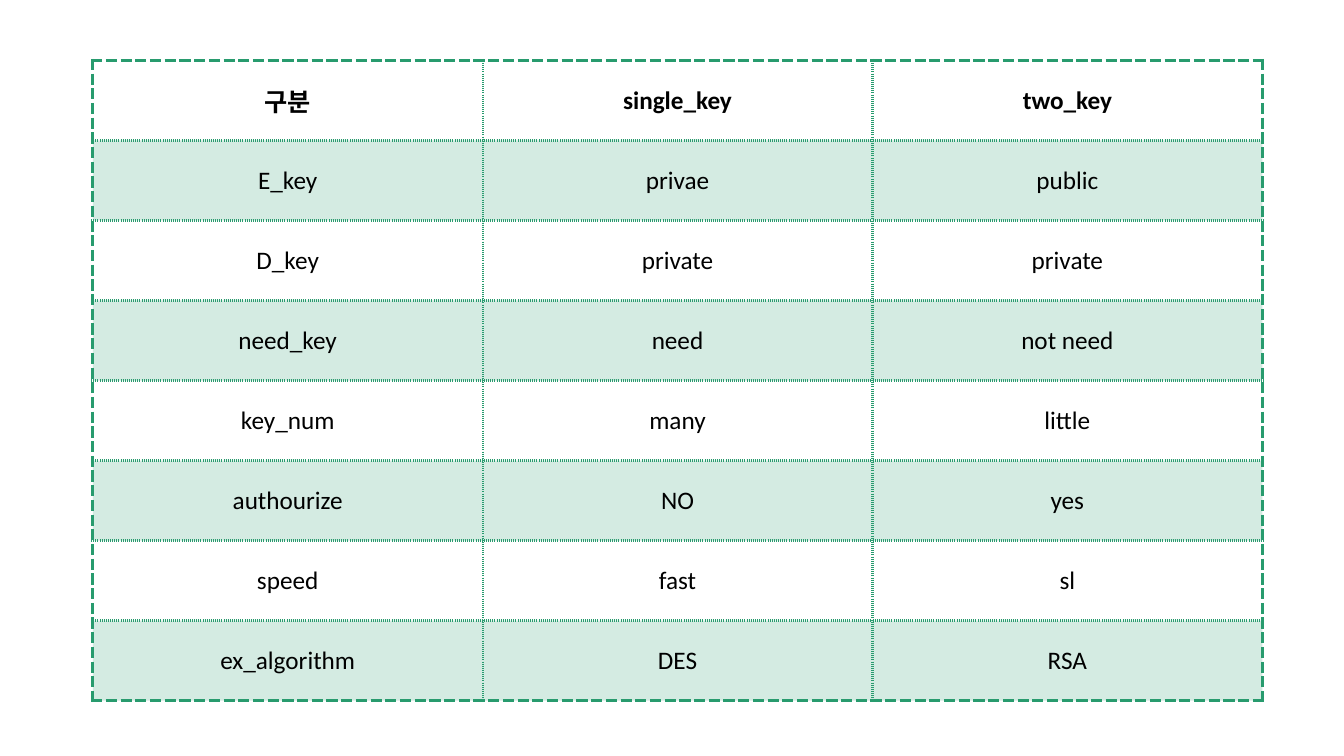
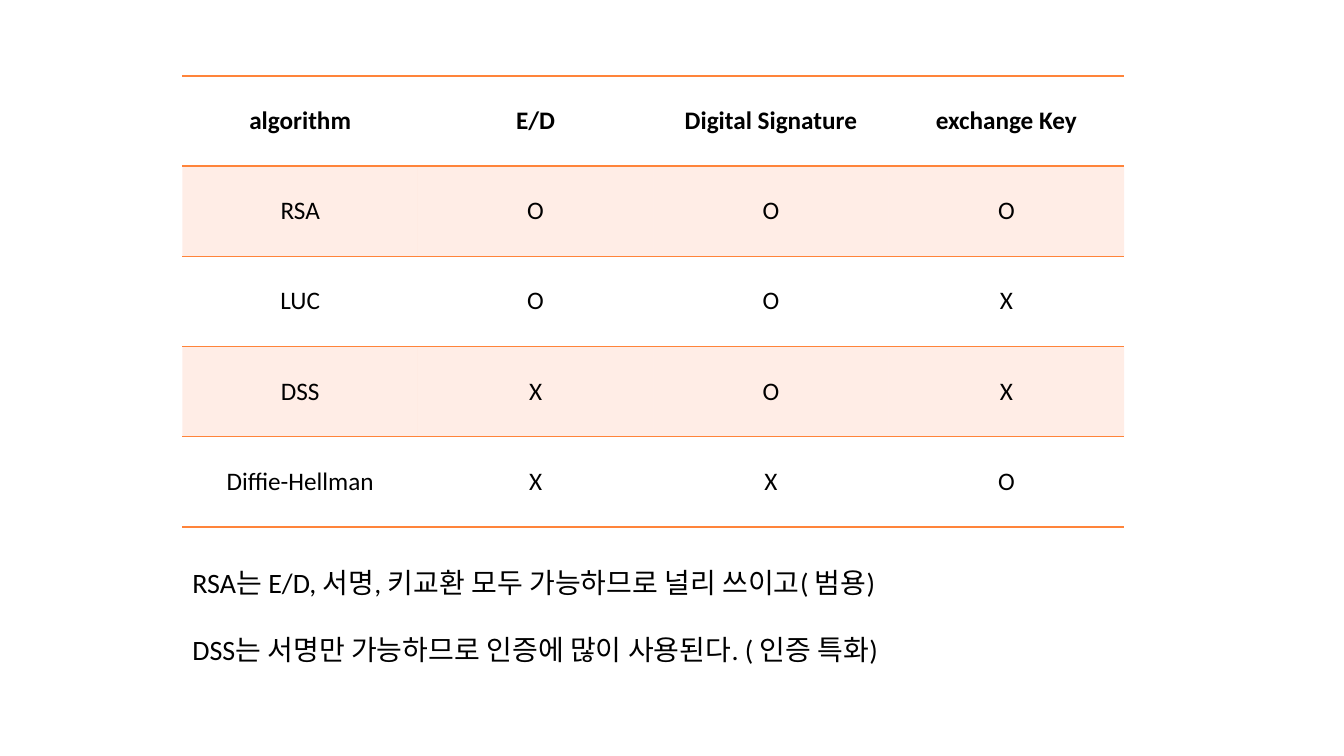
from dataclasses import dataclass

from lxml.etree import SubElement
from pptx import Presentation
from pptx.dml.color import RGBColor
from pptx.enum.text import MSO_ANCHOR, PP_ALIGN
from pptx.oxml import parse_xml
from pptx.oxml.ns import nsdecls, qn
from pptx.util import Emu, Pt

EMU_PER_PX = 9144
BLANK_LAYOUT = 6


@dataclass(frozen=True)
class Theme:
    font: str = "Calibri"
    text: str = "000000"
    green: str = "289B6E"
    orange: str = "FF843A"
    peach: str = "FFA786"
    band_opacity: int = 20
    table_size: int = 18
    note_size: int = 20


@dataclass(frozen=True)
class Line:
    color: str
    width: float
    dash: str = "solid"


@dataclass(frozen=True)
class TableStyle:
    band: str
    outer: Line
    header: Line
    row: Line
    column: Line | None
    side: Line | None


THEME = Theme()
GREEN_DASHES = Line(THEME.green, 2.57, "dash")
GREEN_DOTS = Line(THEME.green, 1.79, "sysDot")
ORANGE_RULE = Line(THEME.orange, 1.79)
GREEN_GRID = TableStyle(THEME.green, GREEN_DASHES, GREEN_DOTS, GREEN_DOTS, GREEN_DOTS, GREEN_DASHES)
ORANGE_RULES = TableStyle(THEME.peach, ORANGE_RULE, ORANGE_RULE, Line(THEME.orange, 0.79), None, None)

KEY_ROWS = [
    ("구분", "single_key", "two_key"),
    ("E_key", "privae", "public"),
    ("D_key", "private", "private"),
    ("need_key", "need", "not need"),
    ("key_num", "many", "little"),
    ("authourize", "NO", "yes"),
    ("speed", "fast", "sl"),
    ("ex_algorithm", "DES", "RSA"),
]
ALGORITHM_ROWS = [
    ("algorithm", "E/D", "Digital Signature", "exchange Key"),
    ("RSA", "O", "O", "O"),
    ("LUC", "O", "O", "X"),
    ("DSS", "X", "O", "X"),
    ("Diffie-Hellman", "X", "X", "O"),
]
ALGORITHM_NOTES = [
    "RSA는 E/D, 서명, 키교환 모두 가능하므로 널리 쓰이고( 범용)",
    "DSS는 서명만 가능하므로 인증에 많이 사용된다. ( 인증 특화)",
]


def px(length):
    return Emu(length * EMU_PER_PX)


def format_font(font, size, bold=False):
    font.name = THEME.font
    font.size = Pt(size)
    font.bold = bold
    font.color.rgb = RGBColor.from_string(THEME.text)


def border_element(tag, line):
    if line is None:
        return parse_xml(f'<a:{tag} {nsdecls("a")} w="0"><a:noFill/></a:{tag}>')
    return parse_xml(
        f'<a:{tag} {nsdecls("a")} w="{Pt(line.width)}" cap="flat" cmpd="sng">'
        f'<a:solidFill><a:srgbClr val="{line.color}"/></a:solidFill>'
        f'<a:prstDash val="{line.dash}"/></a:{tag}>'
    )


def set_borders(cell, left, right, top, bottom):
    properties = cell._tc.get_or_add_tcPr()
    lines = {"lnL": left, "lnR": right, "lnT": top, "lnB": bottom}
    for position, (tag, line) in enumerate(lines.items()):
        properties.insert(position, border_element(tag, line))


def fill_cell(cell, color):
    if color is None:
        cell.fill.background()
        return
    cell.fill.solid()
    cell.fill.fore_color.rgb = RGBColor.from_string(color)
    color_element = cell._tc.tcPr.find(f"{qn('a:solidFill')}/{qn('a:srgbClr')}")
    SubElement(color_element, qn("a:alpha"), val=str(THEME.band_opacity * 1000))


def edge_lines(count, outer, inner):
    return [outer] + [inner] * (count - 1) + [outer]


def add_styled_table(slide, rows, left, top, width, height, style):
    row_count, column_count = len(rows), len(rows[0])
    frame = slide.shapes.add_table(
        row_count, column_count, px(left), px(top), px(width), px(height)
    )
    table = frame.table
    table.first_row = False
    table.horz_banding = False
    horizontal = edge_lines(row_count, style.outer, style.row)
    horizontal[1] = style.header
    vertical = edge_lines(column_count, style.side, style.column)
    for row, texts in enumerate(rows):
        for column, text in enumerate(texts):
            cell = table.cell(row, column)
            cell.text = text
            cell.vertical_anchor = MSO_ANCHOR.MIDDLE
            paragraph = cell.text_frame.paragraphs[0]
            paragraph.alignment = PP_ALIGN.CENTER
            format_font(paragraph.font, THEME.table_size, bold=row == 0)
            fill_cell(cell, style.band if row % 2 else None)
            set_borders(
                cell, vertical[column], vertical[column + 1],
                horizontal[row], horizontal[row + 1],
            )


def add_notes_text(slide, lines, left, top, width, height):
    shape = slide.shapes.add_textbox(px(left), px(top), px(width), px(height))
    text_frame = shape.text_frame
    text_frame.word_wrap = True
    text_frame.text = "\n".join(lines)
    for index, paragraph in enumerate(text_frame.paragraphs):
        format_font(paragraph.font, THEME.note_size)
        if index:
            paragraph.space_before = Pt(24)


def main():
    presentation = Presentation()
    presentation.slide_width = px(1333)
    presentation.slide_height = px(750)
    layout = presentation.slide_layouts[BLANK_LAYOUT]

    key_slide = presentation.slides.add_slide(layout)
    add_styled_table(key_slide, KEY_ROWS, 92, 60, 1160, 635, GREEN_GRID)

    algorithm_slide = presentation.slides.add_slide(layout)
    add_styled_table(algorithm_slide, ALGORITHM_ROWS, 181, 75, 934, 448, ORANGE_RULES)
    add_notes_text(algorithm_slide, ALGORITHM_NOTES, 181, 556, 903, 109)

    presentation.save("out.pptx")


if __name__ == "__main__":
    main()
